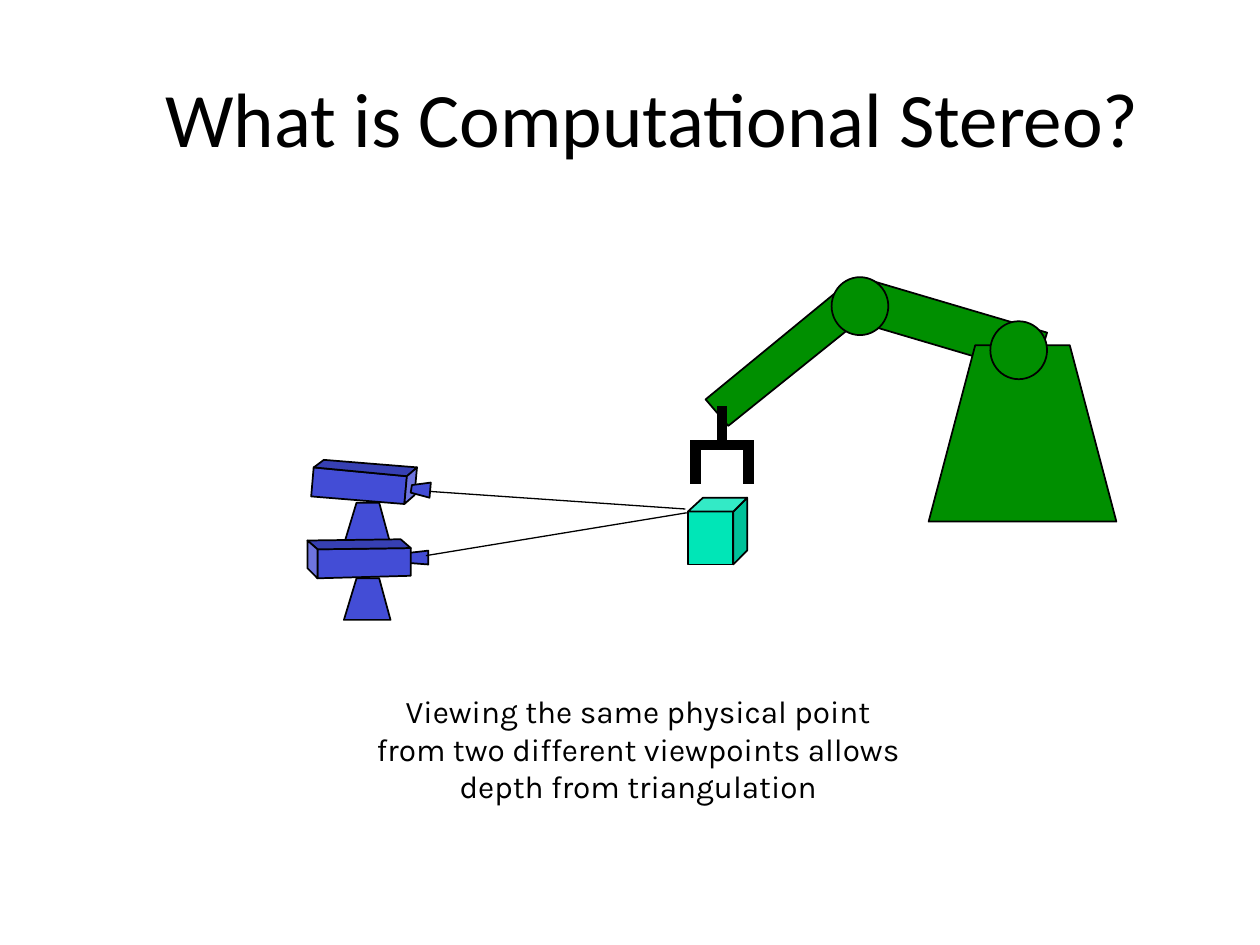
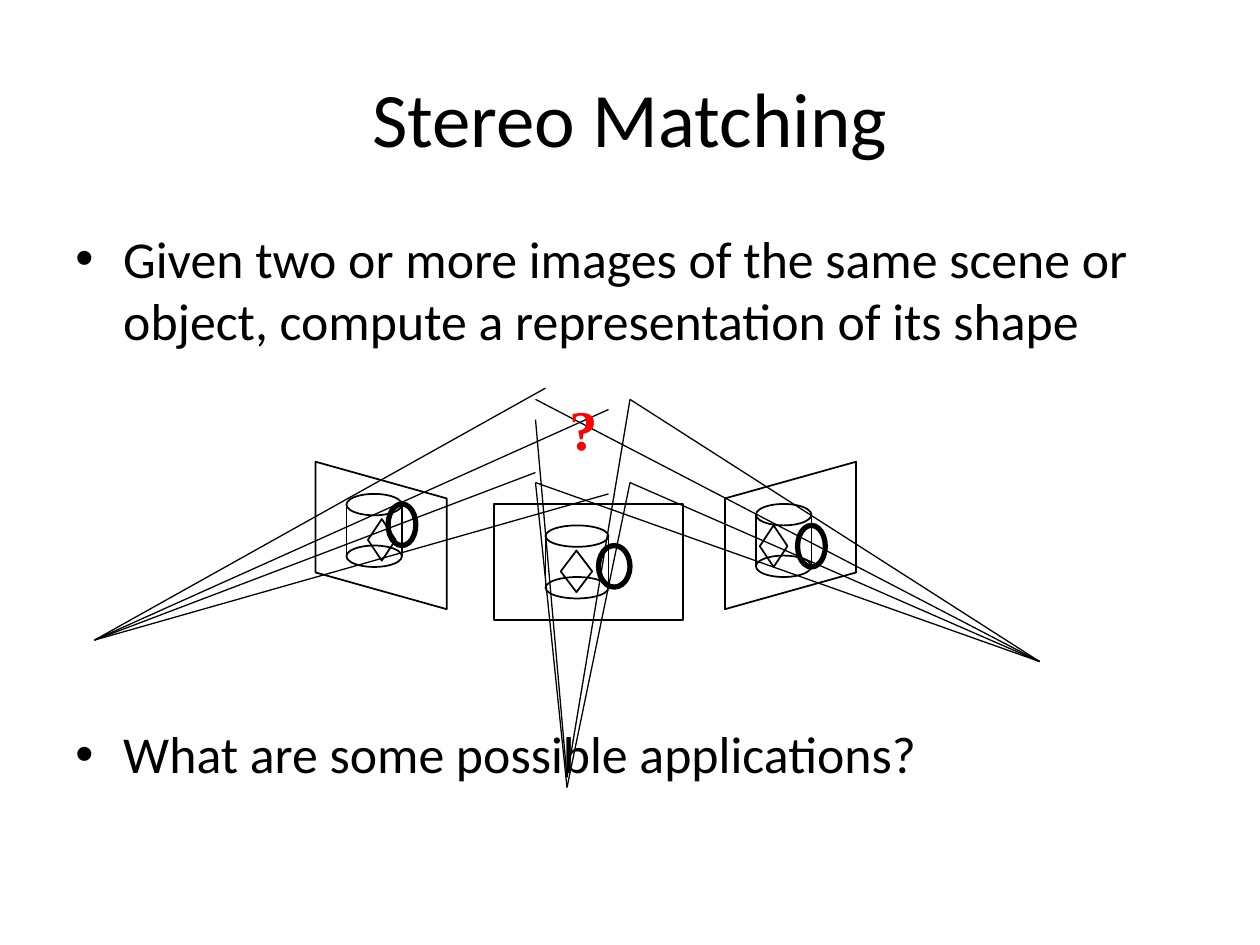
from lxml.etree import SubElement
from pptx import Presentation
from pptx.dml.color import RGBColor
from pptx.enum.shapes import MSO_CONNECTOR as Link, MSO_SHAPE as Kind
from pptx.enum.text import MSO_ANCHOR as Anchor, PP_ALIGN as Align
from pptx.oxml.ns import qn
from pptx.util import Inches, Pt

# Shared colours and text styles
color = RGBColor.from_string
BLACK, RED, GREEN = "000000", "FF0000", "008F00"
BLUE, NAVY, LILAC = "434DD6", "3740B3", "6E74DE"
MINT, TEAL, AQUA = "00E6B7", "00C199", "33EAC6"
TITLE = {"name": "Calibri", "size": Pt(44)}
BODY = {"name": "Calibri", "size": Pt(29.6)}
NOTE = {"name": "Karla", "size": Pt(18)}
MARK = {"name": "Times New Roman", "size": Pt(32), "bold": True}


def ink(part, width=1, fill=None):
    """Draw a black outline, an optional fill and no shadow."""
    part.line.color.rgb = color(BLACK)
    part.line.width = Pt(width)
    if fill:
        part.fill.solid()
        part.fill.fore_color.rgb = color(fill)
    elif hasattr(part, "fill"):
        part.fill.background()
    SubElement(part._element.spPr, qn("a:effectLst"))


def write(slide, box, lines, style, tint=BLACK, align=Align.CENTER,
          anchor=Anchor.TOP, inset=True, left=0, bullet=False, gap=0):
    """Add a text box; gap is the space between paragraphs in points."""
    frame = slide.shapes.add_textbox(*map(Inches, box)).text_frame
    frame.word_wrap = True
    frame.vertical_anchor = anchor
    if not inset:
        for side in ("left", "right", "top", "bottom"):
            setattr(frame, f"margin_{side}", 0)
    for i, line in enumerate(lines):
        para = frame.paragraphs[0] if i == 0 else frame.add_paragraph()
        para.alignment = align
        props = para._p.get_or_add_pPr()
        props.set("marL", str(Inches(left)))
        if i:
            para.space_before = Pt(gap)
        if bullet:
            props.set("indent", str(-Inches(left)))
            SubElement(props, qn("a:buFont"), typeface="Arial")
            SubElement(props, qn("a:buChar"), char="•")
        run = para.add_run()
        run.text = line
        run.font.color.rgb = color(tint)
        for key, value in style.items():
            setattr(run.font, key, value)


deck = Presentation()
deck.slide_width, deck.slide_height = Inches(10), Inches(7.5)
blank = deck.slide_layouts[6]

# Slide 1: robot arm seen by two cameras
slide = deck.slides.add_slide(blank)
shapes = slide.shapes
write(slide, (0.5, 0.56, 9, 0.74), ["What is Computational Stereo?"], TITLE,
      anchor=Anchor.MIDDLE, inset=False, left=0.36)

arm = [
    (GREEN, [(6.66, 2.3), (5.6, 3.17), (5.78, 3.38), (6.85, 2.52)]),
    (GREEN, [(6.89, 2.22), (6.79, 2.55), (8.21, 2.97), (8.31, 2.64)]),
    (GREEN, [(8.49, 2.74), (7.74, 2.74), (7.37, 4.14), (8.86, 4.14)]),
]
cube = [
    (MINT, [(5.46, 4.06), (5.82, 4.06), (5.82, 4.48), (5.46, 4.48)]),
    (TEAL, [(5.93, 3.95), (5.82, 4.06), (5.82, 4.48), (5.93, 4.37)]),
    (AQUA, [(5.93, 3.95), (5.58, 3.95), (5.46, 4.06), (5.82, 4.06)]),
]
stands = [(BLUE, [(3.01, y), (2.83, y), (2.73, y + 0.33), (3.1, y + 0.33)])
          for y in (3.99, 4.59)]
far = [
    (BLUE, [(2.49, 3.71), (2.47, 3.94), (3.21, 4), (3.23, 3.78)]),
    (NAVY, [(2.57, 3.65), (2.49, 3.71), (3.23, 3.78), (3.31, 3.71)]),
    (LILAC, [(3.31, 3.71), (3.23, 3.78), (3.21, 4), (3.29, 3.93)]),
    (BLUE, [(3.42, 3.83), (3.27, 3.85), (3.26, 3.91), (3.41, 3.95)]),
]
near = [
    (BLUE, [(3.4, 4.37), (3.14, 4.4), (3.14, 4.46), (3.4, 4.48)]),
    (BLUE, [(3.26, 4.35), (2.52, 4.36), (2.52, 4.59), (3.26, 4.57)]),
    (NAVY, [(3.18, 4.28), (2.44, 4.29), (2.52, 4.36), (3.26, 4.35)]),
    (LILAC, [(2.44, 4.29), (2.44, 4.51), (2.52, 4.59), (2.52, 4.36)]),
]
for fill, points in arm + cube + far + stands + near:
    first, *rest = [(Inches(x), Inches(y)) for x, y in points]
    path = shapes.build_freeform(*first)
    path.add_line_segments(rest, close=True)
    ink(path.convert_to_shape(), fill=fill)

# Arm joints
for x, y in ((6.6, 2.2), (7.86, 2.55)):
    ink(shapes.add_shape(Kind.OVAL, *map(Inches, (x, y, 0.45, 0.46))),
        fill=GREEN)

# Gripper and sight lines
grip = [(5.56, 3.53, 5.9, 3.53), (5.94, 3.84, 5.94, 3.49),
        (5.52, 3.84, 5.52, 3.49), (5.73, 3.5, 5.73, 3.22)]
sight = [(3.41, 3.9, 5.44, 4.04), (3.38, 4.41, 5.45, 4.07)]
for width, lines in ((6, grip), (0.75, sight)):
    for ends in lines:
        ink(shapes.add_connector(Link.STRAIGHT, *map(Inches, ends)), width)

write(slide, (2.97, 5.49, 4.19, 0.91),
      ["Viewing the same physical point from two different viewpoints "
       "allows depth from triangulation"], NOTE, inset=False)

# Slide 2: one scene in three views
slide = deck.slides.add_slide(blank)
shapes = slide.shapes
write(slide, (0.5, 0.3, 9, 1.25), ["Stereo Matching"], TITLE,
      anchor=Anchor.MIDDLE)
write(slide, (0.5, 1.75, 9, 4.95),
      ["Given two or more images of the same scene or object, "
       "compute a representation of its shape",
       "What are some possible applications?"],
      BODY, align=Align.LEFT, left=0.38, bullet=True, gap=212)

# Image planes
ink(shapes.add_shape(Kind.RECTANGLE, *map(Inches, (3.92, 4, 1.5, 0.92))))
for x, turn, flip in ((2.44, 90, "0"), (5.69, 270, "1")):
    plane = shapes.add_shape(Kind.PARALLELOGRAM,
                             *map(Inches, (x, 3.73, 1.17, 1.04)))
    plane.adjustments[0] = 0.28
    plane.rotation = turn
    plane._element.spPr.xfrm.set("flipH", flip)
    ink(plane)

# Can, diamond and ring: can place, can width, item width, item places
views = [
    (4.33, 4.17, 0.5, 0.25, (4.45, 4.37), (4.75, 4.33)),
    (6, 4, 0.44, 0.22, (6.03, 4.17), (6.33, 4.17)),
    (2.75, 3.92, 0.44, 0.22, (2.92, 4.12), (3.08, 4)),
]
for x, y, wide, slim, gem, ring in views:
    for kind, box, width in (
            (Kind.OVAL, (*ring, slim, 0.33), 3),
            (Kind.OVAL, (x, y + 0.41, wide, 0.17), 1),
            (Kind.OVAL, (x, y, wide, 0.17), 1),
            (Kind.DIAMOND, (*gem, slim, 0.33), 1)):
        ink(shapes.add_shape(kind, *map(Inches, box)), width)
    for side in (x, x + wide):
        ends = (side, y + 0.08, side, y + 0.5)
        ink(shapes.add_connector(Link.STRAIGHT, *map(Inches, ends)))

# Rays from the scene to each eye
rays = [
    ((4.5, 6.17), [(4.25, 3.33), (5, 3.17)]),
    ((4.5, 6.25), [(4.25, 3.83), (5, 3.83)]),
    ((8.25, 5.25), [(4.25, 3.17), (5, 3.17), (4.25, 3.83), (5, 3.83)]),
    ((0.75, 5.08), [(4.33, 3.08), (4.83, 3.25), (4.83, 3.92), (4.25, 3.75)]),
]
for eye, spots in rays:
    for spot in spots:
        ink(shapes.add_connector(Link.STRAIGHT, *map(Inches, spot + eye)),
            0.75)

write(slide, (4.17, 3.08, 0.92, 0.63), ["?"], MARK, tint=RED)

deck.save("out.pptx")
